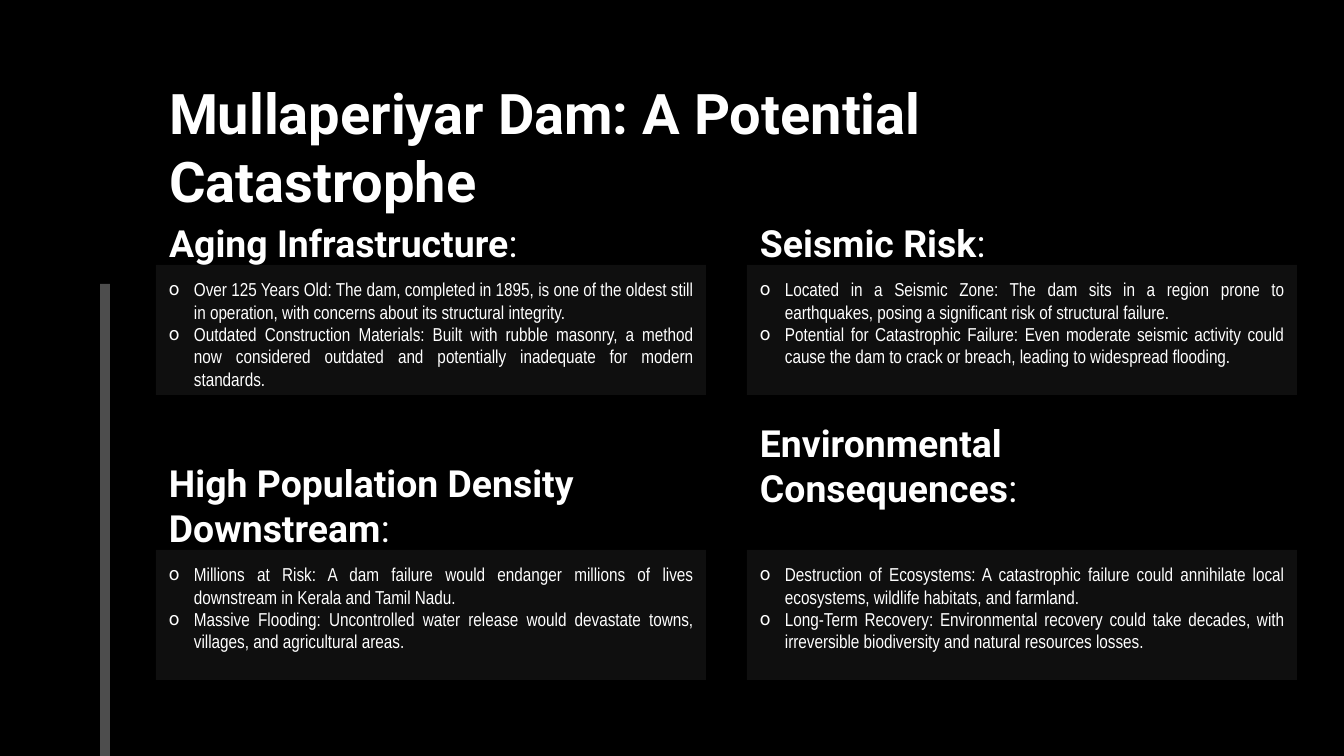
from lxml import etree
from pptx import Presentation
from pptx.dml.color import RGBColor
from pptx.enum.shapes import MSO_SHAPE
from pptx.enum.text import MSO_ANCHOR, PP_ALIGN
from pptx.oxml.ns import qn
from pptx.util import Pt

RECT = MSO_SHAPE.RECTANGLE
TOP, BOTTOM = MSO_ANCHOR.TOP, MSO_ANCHOR.BOTTOM
LEFT, JUSTIFY = PP_ALIGN.LEFT, PP_ALIGN.JUSTIFY
SCALE = 914400 / 134.4
COLORS = {"back": "000000", "text": "FFFFFF", "panel": "191919", "bar": "FFFFFF"}
HEAD, BODY = "Roboto", "Arial Narrow"
PAD, INDENT = 13, 25
COLS, ROWS = (156, 747), (265, 550)
WIDE, HIGH = 550, 130

# Column, row, heading, heading box (rise above panel, width, height), points
TOPICS = [
    (0, 0, "Aging Infrastructure", (42, 435, 55), [
        "Over 125 Years Old: The dam, completed in 1895, is one of the oldest "
        "still in operation, with concerns about its structural integrity.",
        "Outdated Construction Materials: Built with rubble masonry, a method now "
        "considered outdated and potentially inadequate for modern standards."]),
    (1, 0, "Seismic Risk", (42, 290, 55), [
        "Located in a Seismic Zone: The dam sits in a region prone to "
        "earthquakes, posing a significant risk of structural failure.",
        "Potential for Catastrophic Failure: Even moderate seismic activity could "
        "cause the dam to crack or breach, leading to widespread flooding."]),
    (0, 1, "High Population Density Downstream", (82, 550, 95), [
        "Millions at Risk: A dam failure would endanger millions of lives "
        "downstream in Kerala and Tamil Nadu.",
        "Massive Flooding: Uncontrolled water release would devastate towns, "
        "villages, and agricultural areas."]),
    (1, 1, "Environmental Consequences", (82, 520, 55), [
        "Destruction of Ecosystems: A catastrophic failure could annihilate local "
        "ecosystems, wildlife habitats, and farmland.",
        "Long-Term Recovery: Environmental recovery could take decades, with "
        "irreversible biodiversity and natural resources losses."]),
]


def px(n):
    return round(n * SCALE)


def add_rect(slide, box, color, alpha):
    shape = slide.shapes.add_shape(RECT, *map(px, box))
    shape.shadow.inherit = False
    shape.line.fill.background()
    shape.fill.solid()
    shape.fill.fore_color.rgb = RGBColor.from_string(COLORS[color])
    tint = shape.fill._xPr.find(qn("a:solidFill"))[0]
    etree.SubElement(tint, qn("a:alpha"), val=str(alpha * 1000))
    return shape


def set_frame(shape, anchor):
    frame = shape.text_frame
    frame.word_wrap = True
    frame.vertical_anchor = anchor
    frame.margin_left = frame.margin_right = px(PAD)
    frame.margin_top = frame.margin_bottom = px(PAD)
    return frame


def add_run(para, text, size, face, bold=False):
    run = para.add_run()
    run.text = text
    font = run.font
    font.size, font.name, font.bold = Pt(size), face, bold
    font.color.rgb = RGBColor.from_string(COLORS["text"])


def set_bullet(para):
    props = para._p.get_or_add_pPr()
    props.set("marL", str(px(INDENT)))
    props.set("indent", str(-px(INDENT)))
    color = etree.SubElement(props, qn("a:buClr"))
    etree.SubElement(color, qn("a:srgbClr"), val=COLORS["text"])
    etree.SubElement(props, qn("a:buFont"), typeface=HEAD)
    etree.SubElement(props, qn("a:buChar"), char="o")


def add_head(slide, box, runs, size, anchor):
    frame = set_frame(slide.shapes.add_textbox(*map(px, box)), anchor)
    para = frame.paragraphs[0]
    para.alignment = LEFT
    for text, bold in runs:
        add_run(para, text, size, HEAD, bold)


def add_topic(slide, box, title, label, points):
    x, y, w, h = box
    # Panel with bullet points
    frame = set_frame(add_rect(slide, box, "panel", 60), TOP)
    for i, point in enumerate(points):
        para = frame.add_paragraph() if i else frame.paragraphs[0]
        para.alignment = JUSTIFY
        set_bullet(para)
        add_run(para, point, 10, BODY)
    # Heading above the panel
    rise, wide, high = label
    add_head(slide, (x, y - rise, wide, high), [(title, True), (":", False)], 20, BOTTOM)


def main():
    deck = Presentation()
    deck.slide_width, deck.slide_height = px(1344), px(756)
    slide = deck.slides.add_slide(deck.slide_layouts[6])
    fill = slide.background.fill
    fill.solid()
    fill.fore_color.rgb = RGBColor.from_string(COLORS["back"])

    # Side bar and title
    add_rect(slide, (100, 284, 10, 472), "bar", 30)
    title = "Mullaperiyar Dam: A Potential Catastrophe"
    add_head(slide, (156, 66, 1082, 85), [(title, True)], 30, TOP)

    # Grid of four topics
    for col, row, head, label, points in TOPICS:
        add_topic(slide, (COLS[col], ROWS[row], WIDE, HIGH), head, label, points)
    deck.save("out.pptx")


if __name__ == "__main__":
    main()
